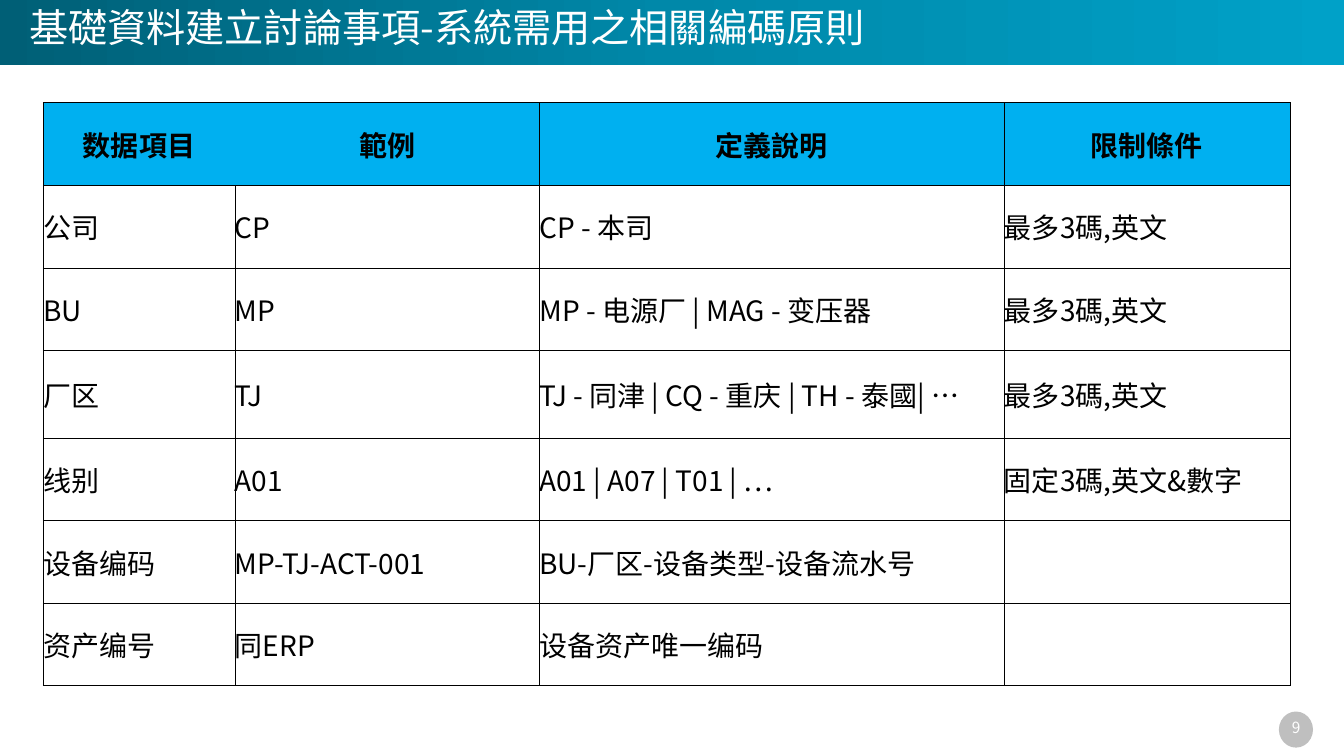
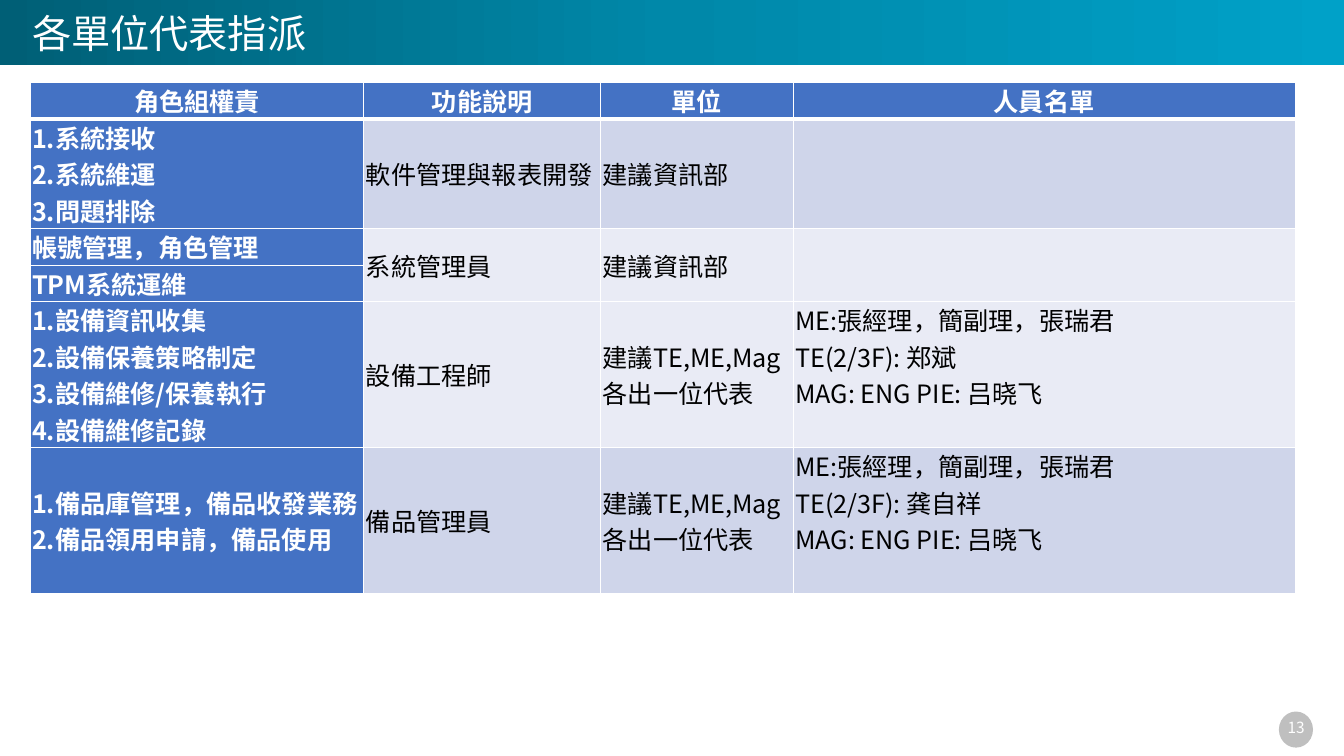
from copy import deepcopy

from lxml import etree
from pptx import Presentation
from pptx import util as u
from pptx.dml.color import RGBColor
from pptx.enum import shapes, text
from pptx.oxml.ns import qn

FONT = "Noto Sans CJK SC"
WHITE = RGBColor(0xFF, 0xFF, 0xFF)
BLACK = RGBColor(0x00, 0x00, 0x00)
GREY = RGBColor(0xBF, 0xBF, 0xBF)
SKY = RGBColor(0x00, 0xB0, 0xF0)
BLUE = RGBColor(0x44, 0x72, 0xC4)
PALE = RGBColor(0xCF, 0xD5, 0xEA)
PALER = RGBColor(0xE9, 0xEB, 0xF5)
BAND_STOPS = [
    RGBColor(0x00, 0x5F, 0x76),
    RGBColor(0x00, 0x88, 0xA9),
    RGBColor(0x00, 0xA1, 0xC8),
]
LEFT, CENTER = text.PP_ALIGN.LEFT, text.PP_ALIGN.CENTER
MIDDLE, TOP = text.MSO_ANCHOR.MIDDLE, text.MSO_ANCHOR.TOP


def write(frame, content, size, color, bold=False, align=LEFT):
    """Fill a text frame, one paragraph for each line of content."""
    for index, line in enumerate(content.split("\n")):
        para = frame.add_paragraph() if index else frame.paragraphs[0]
        para.alignment = align
        if not line:
            continue
        span = para.add_run()
        span.text = line
        span.font.size = u.Pt(size)
        span.font.bold = bold
        span.font.color.rgb = color
        span.font.name = FONT
        etree.SubElement(span._r.get_or_add_rPr(), qn("a:ea"), typeface=FONT)


def style_cell(cell, fill, line_color, edges, inset=0, anchor=MIDDLE):
    """Set borders, fill and insets; edges maps L, R, T, B to points."""
    cell.margin_left = cell.margin_right = u.Cm(inset)
    cell.margin_top = cell.margin_bottom = 0
    cell.vertical_anchor = anchor
    properties = cell._tc.get_or_add_tcPr()
    for side in "LRTB":
        line = etree.SubElement(properties, qn(f"a:ln{side}"))
        if side in edges:
            line.set("w", str(u.Pt(edges[side])))
            solid = etree.SubElement(line, qn("a:solidFill"))
            etree.SubElement(solid, qn("a:srgbClr"), val=str(line_color))
        else:
            etree.SubElement(line, qn("a:noFill"))
    cell.fill.solid()
    cell.fill.fore_color.rgb = fill


deck = Presentation()
deck.slide_width, deck.slide_height = u.Cm(33.87), u.Cm(19.05)
layout = deck.slide_layouts[5]

# Titles and page numbers
pages = []
for title, left, top, width, number in [
    ("基礎資料建立討論事項-系統需用之相關編碼原則", 0.48, 0.08, 22.17, "9"),
    ("各單位代表指派", 0.56, 0.23, 7.49, "13"),
]:
    page = deck.slides.add_slide(layout)
    pages.append(page)
    box = page.shapes.title
    box.left, box.top = u.Cm(left), u.Cm(top)
    box.width, box.height = u.Cm(width), u.Cm(1.32)
    frame = box.text_frame
    frame.word_wrap = False
    frame.auto_size = text.MSO_AUTO_SIZE.NONE
    frame.vertical_anchor = MIDDLE
    write(frame, title, 28, WHITE)
    frame.paragraphs[0].line_spacing = 0.9

    box = page.shapes.add_textbox(u.Cm(31.32), u.Cm(17.98), u.Cm(2.69), u.Cm(0.71))
    box.text_frame.word_wrap = True
    box.text_frame.vertical_anchor = MIDDLE
    write(box.text_frame, number, 11, WHITE, align=CENTER)

# Band and page-number disc, moved to the layout so both slides share them
band = pages[0].shapes.add_shape(
    shapes.MSO_SHAPE.RECTANGLE, 0, 0, deck.slide_width, u.Cm(1.63)
)
band.fill.gradient()
band.fill.gradient_angle = 0
stop_list = band.element.find(".//" + qn("a:gsLst"))
stop_list.append(deepcopy(stop_list[0]))
for index, (stop, color) in enumerate(zip(band.fill.gradient_stops, BAND_STOPS)):
    stop.position = index / 2
    stop.color.rgb = color
disc = pages[0].shapes.add_shape(
    shapes.MSO_SHAPE.OVAL, u.Cm(32.23), u.Cm(17.93), u.Cm(0.86), u.Cm(0.91)
)
disc.fill.solid()
disc.fill.fore_color.rgb = GREY
for index, shape in enumerate([band, disc]):
    shape.shadow.inherit = False
    shape.line.fill.background()
    shape.element.nvSpPr.cNvPr.set("id", str(20 + index))
    layout.shapes.element.insert(2 + index, shape.element)

# Coding rules
code_rows = [
    ("数据項目", "範例", "定義說明", "限制條件"),
    ("公司", "CP", "CP - 本司", "最多3碼,英文"),
    ("BU", "MP", "MP - 电源厂 | MAG - 变压器", "最多3碼,英文"),
    ("厂区", "TJ", "TJ - 同津 | CQ - 重庆 | TH - 泰國| …", "最多3碼,英文"),
    ("线别", "A01", "A01 | A07 | T01 | …", "固定3碼,英文&數字"),
    ("设备编码", "MP-TJ-ACT-001", "BU-厂区-设备类型-设备流水号", ""),
    ("资产编号", "同ERP", "设备资产唯一编码", ""),
]
code_widths = [4.83, 7.67, 11.71, 7.21]
code_heights = [2.08, 2.08, 2.08, 2.21, 2.08, 2.08, 2.08]

# Role assignments; each row is as tall as its number of text lines
role_rows = [
    ("角色組權責", "功能說明", "單位", "人員名單"),
    ("1.系統接收\n2.系統維運\n3.問題排除", "軟件管理與報表開發", "建議資訊部", ""),
    ("帳號管理，角色管理", "系統管理員", "建議資訊部", ""),
    ("TPM系統運維", "", "", ""),
    (
        "1.設備資訊收集\n2.設備保養策略制定\n3.設備維修/保養執行\n4.設備維修記錄",
        "設備工程師",
        "建議TE,ME,Mag\n各出一位代表",
        "ME:張經理，簡副理，張瑞君\nTE(2/3F): 郑斌\nMAG: ENG PIE: 吕晓飞",
    ),
    (
        "1.備品庫管理，備品收發業務\n2.備品領用申請，備品使用",
        "備品管理員",
        "建議TE,ME,Mag\n各出一位代表",
        "ME:張經理，簡副理，張瑞君\nTE(2/3F): 龚自祥\nMAG: ENG PIE: 吕晓飞",
    ),
]
role_fills = [BLUE, PALE, PALER, PALER, PALER, PALE]
role_widths = [8.41, 5.97, 4.85, 12.65]
role_heights = [0.92 * lines for lines in (1, 3, 1, 1, 4, 4)]

tables = []
for page, left, top, widths, heights in [
    (pages[0], 1.09, 2.59, code_widths, code_heights),
    (pages[1], 0.76, 2.08, role_widths, role_heights),
]:
    table = page.shapes.add_table(
        len(heights), len(widths), u.Cm(left), u.Cm(top),
        u.Cm(sum(widths)), u.Cm(sum(heights)),
    ).table
    table.first_row = table.horz_banding = False
    for column, width in zip(table.columns, widths):
        column.width = u.Cm(width)
    for row, height in zip(table.rows, heights):
        row.height = u.Cm(height)
    tables.append(table)
code_table, role_table = tables

for r, row in enumerate(code_rows):
    for c, content in enumerate(row):
        cell = code_table.cell(r, c)
        edges = dict.fromkeys("LRTB", 0.5)
        if r == 0 and c < 2:
            del edges["RL"[c]]
        style_cell(cell, WHITE if r else SKY, BLACK, edges)
        write(cell.text_frame, content, 20, BLACK, r == 0, LEFT if r else CENTER)

for r, row in enumerate(role_rows):
    for c, content in enumerate(row):
        cell = role_table.cell(r, c)
        heading = r == 0 or c == 0
        edges = dict.fromkeys("LRTB", 1)
        if r < 2:
            edges["TB"[r == 0]] = 3
        style_cell(
            cell, BLUE if heading else role_fills[r], WHITE, edges,
            inset=0.05, anchor=TOP if r and c == 3 else MIDDLE,
        )
        write(
            cell.text_frame, content, 18, WHITE if heading else BLACK,
            heading, LEFT if r else CENTER,
        )
for c in range(1, 4):
    role_table.cell(2, c).merge(role_table.cell(3, c))

deck.save("out.pptx")
